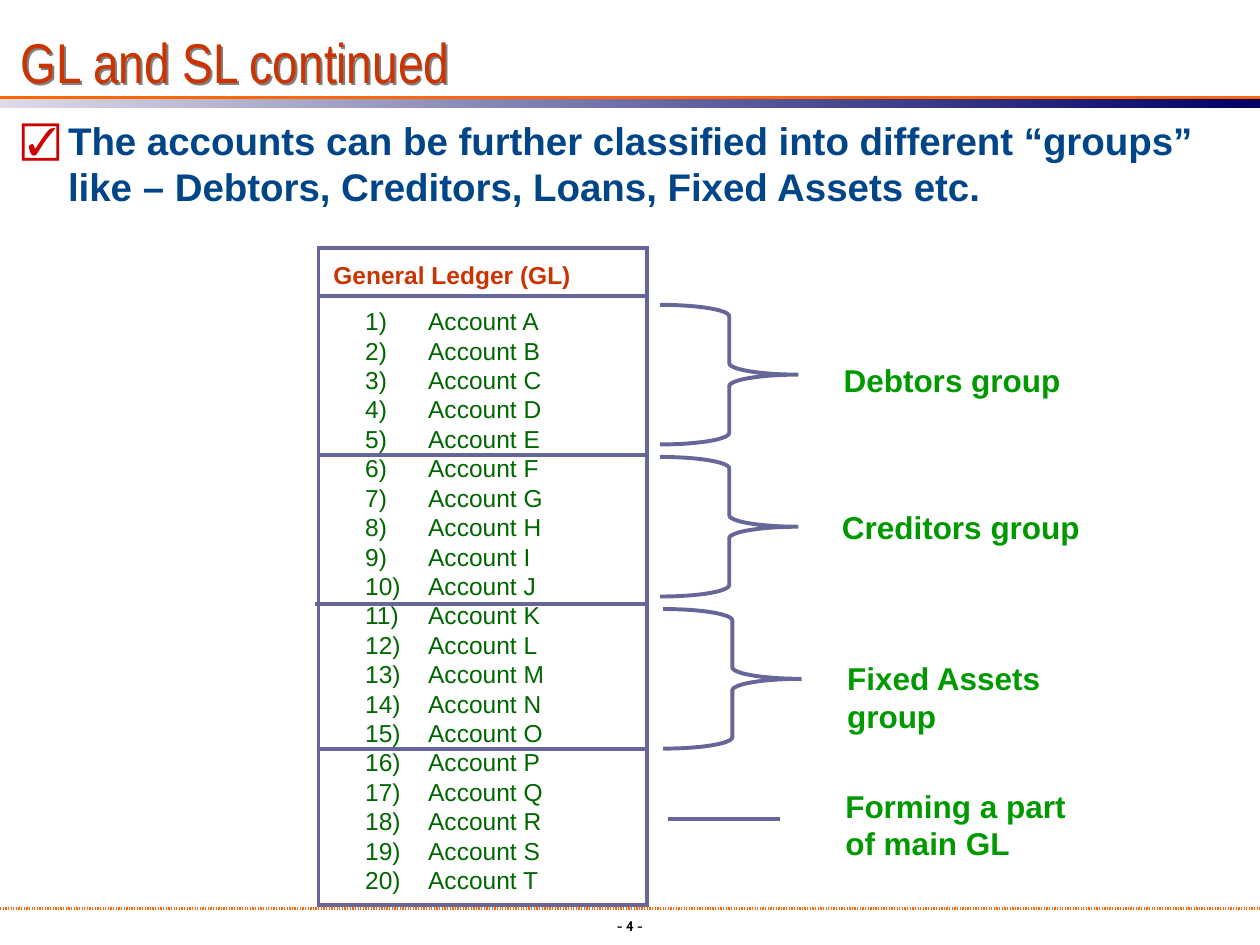
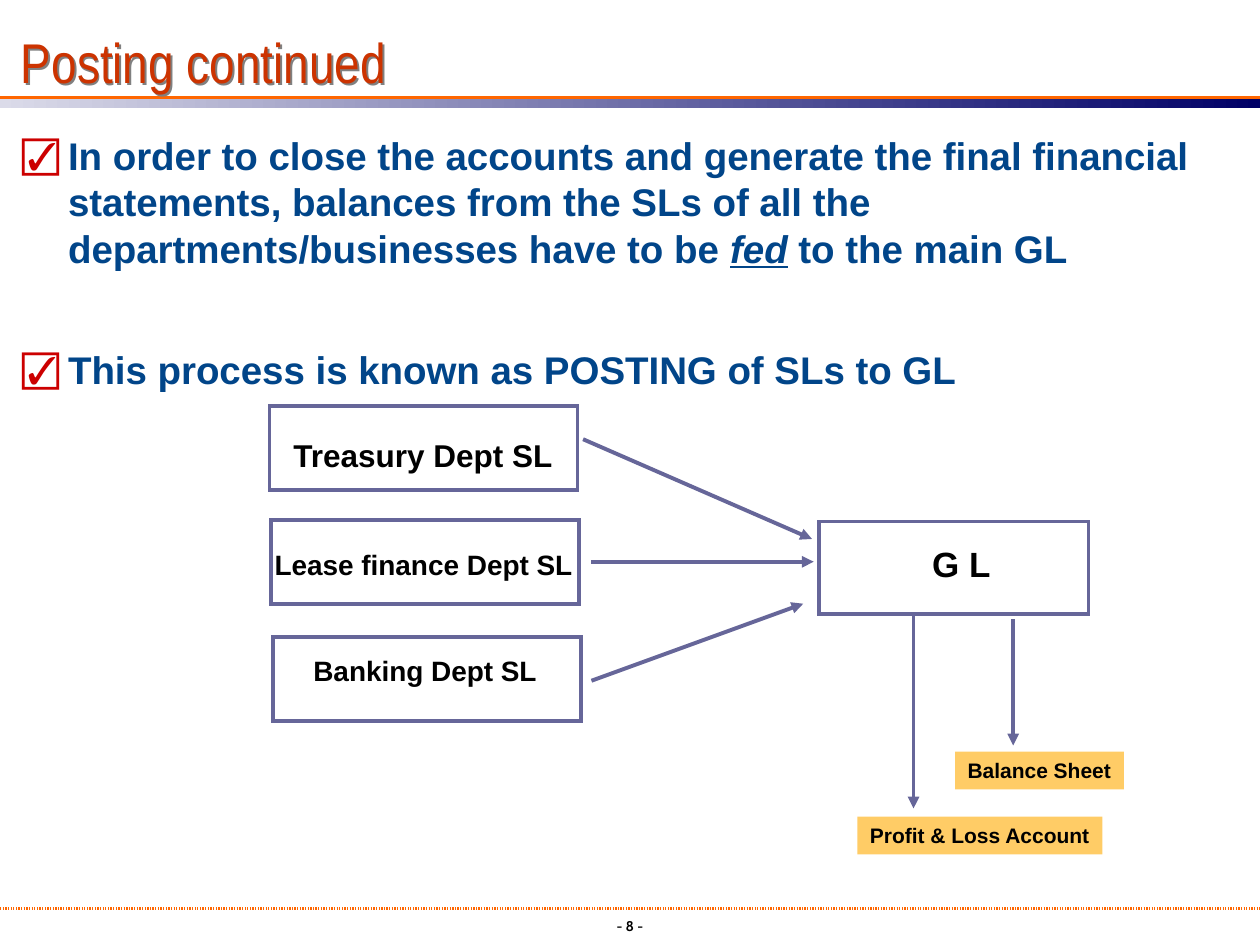
from dataclasses import dataclass

from lxml.etree import SubElement
from pptx import Presentation
from pptx.dml.color import RGBColor
from pptx.enum.shapes import MSO_CONNECTOR, MSO_SHAPE
from pptx.enum.text import MSO_ANCHOR as Anchor, PP_ALIGN as Align
from pptx.oxml.ns import qn
from pptx.util import Pt

COLOURS = {
    "title": "CC3300", "body": "014589", "tick": "CC0000", "rule": "FF6600",
    "band_light": "DBDBE9", "band_dark": "000066", "outline": "666699",
    "account": "006600", "group": "009900", "black": "000000",
    "statement": "FFCC66", "title_shadow": "808080",
}
WIDTH, HEIGHT = 720, 540
INSET = (7.2, 3.6)


@dataclass(frozen=True)
class Box:
    left: float
    top: float
    width: float
    height: float

    def lengths(self) -> tuple:
        return Pt(self.left), Pt(self.top), Pt(self.width), Pt(self.height)


@dataclass(frozen=True)
class Style:
    size: float
    colour: str
    bold: bool = True
    font: str = "Arial"


@dataclass(frozen=True)
class Label:
    text: str
    box: Box
    style: Style
    wrap: bool = False


@dataclass(frozen=True)
class Line:
    x1: float
    y1: float
    x2: float
    y2: float


@dataclass(frozen=True)
class Bullet:
    """Text pieces in turn plain and emphasised, with the space above."""
    pieces: tuple
    space_before: float = 0


TITLE = Style(32, "title", False, "Arial Narrow")
BODY = Style(22, "body")
FOOTER = Style(8, "black", font="Cabin")
LEDGER_HEADING = Style(14, "title")
ACCOUNT = Style(14, "account", False)
GROUP = Style(18, "group")
STATEMENT = Style(12, "black")


def rgb(name: str) -> RGBColor:
    return RGBColor.from_string(COLOURS[name])


def set_font(paragraph, style: Style) -> None:
    font = paragraph.font
    font.name, font.size, font.bold = style.font, Pt(style.size), style.bold
    font.color.rgb = rgb(style.colour)


def prepare_frame(frame, wrap: bool, inset=INSET, anchor=Anchor.TOP) -> None:
    frame.word_wrap = wrap
    frame.vertical_anchor = anchor
    frame.margin_left = frame.margin_right = Pt(inset[0])
    frame.margin_top = frame.margin_bottom = Pt(inset[1])


def add_label(slide, label: Label, inset=INSET, anchor=Anchor.TOP, align=Align.LEFT):
    shape = slide.shapes.add_textbox(*label.box.lengths())
    prepare_frame(shape.text_frame, label.wrap, inset, anchor)
    paragraph = shape.text_frame.paragraphs[0]
    paragraph.text = label.text
    paragraph.alignment = align
    set_font(paragraph, label.style)
    return shape


def add_outline(slide, box: Box, kind=MSO_SHAPE.RECTANGLE) -> None:
    shape = slide.shapes.add_shape(kind, *box.lengths())
    shape.shadow.inherit = False
    shape.fill.background()
    shape.line.color.rgb = rgb("outline")
    shape.line.width = Pt(2.25)
    SubElement(shape.line._get_or_add_ln(), qn("a:miter"), lim="800000")


def add_line(slide, line: Line, colour="outline", width=2.25, arrow=False, dotted=False) -> None:
    ends = (Pt(value) for value in (line.x1, line.y1, line.x2, line.y2))
    connector = slide.shapes.add_connector(MSO_CONNECTOR.STRAIGHT, *ends)
    connector.line.color.rgb = rgb(colour)
    connector.line.width = Pt(width)
    outline = connector.line._get_or_add_ln()
    if dotted:
        dashes = SubElement(outline, qn("a:custDash"))
        SubElement(dashes, qn("a:ds"), d="50000", sp="50000")
    if arrow:
        SubElement(outline, qn("a:tailEnd"), type="triangle")
    SubElement(connector._element.spPr, qn("a:effectLst"))


def set_bullet(paragraph, indent: float, colour: str, kind: str, **attributes) -> None:
    properties = paragraph._p.get_or_add_pPr()
    properties.set("marL", str(Pt(indent)))
    properties.set("indent", str(-Pt(indent)))
    SubElement(SubElement(properties, qn("a:buClr")), qn("a:srgbClr"), val=COLOURS[colour])
    SubElement(properties, qn("a:buFont"), typeface="Arial")
    SubElement(properties, qn(kind), **attributes)


def add_body(slide, box: Box, bullets: list[Bullet]) -> None:
    frame = slide.shapes.add_textbox(*box.lengths()).text_frame
    prepare_frame(frame, True, (0, 0))
    for index, bullet in enumerate(bullets):
        paragraph = frame.add_paragraph() if index else frame.paragraphs[0]
        set_bullet(paragraph, 26.64, "tick", "a:buChar", char="☑")
        if bullet.space_before:
            paragraph.space_before = Pt(bullet.space_before)
        set_font(paragraph, BODY)
        for position, piece in enumerate(bullet.pieces):
            run = paragraph.add_run()
            run.text = piece
            if position % 2:
                run.font.italic = run.font.underline = True


def add_title(slide, text: str) -> None:
    label = Label(text, Box(12, 10, 576, 44), TITLE, True)
    shape = add_label(slide, label, (0, 0), Anchor.BOTTOM)
    effects = SubElement(shape._element.spPr, qn("a:effectLst"))
    shadow = SubElement(effects, qn("a:outerShdw"), dist=str(Pt(1.5)), dir="2700000")
    SubElement(shadow, qn("a:srgbClr"), val=COLOURS["title_shadow"])


def new_slide(presentation, title: str, number: int):
    """Add a slide with the shared band, rules, page number and title."""
    slide = presentation.slides.add_slide(presentation.slide_layouts[6])
    add_line(slide, Line(0, 519, WIDTH, 519), "rule", 1.5, dotted=True)
    band = slide.shapes.add_shape(MSO_SHAPE.RECTANGLE, *Box(0, 56.4, WIDTH, 5.2).lengths())
    band.shadow.inherit = False
    band.line.fill.background()
    band.fill.gradient()
    band.fill.gradient_angle = 0
    for stop, name in zip(band.fill.gradient_stops, ("band_light", "band_dark")):
        stop.color.rgb = rgb(name)
    add_line(slide, Line(0, 55.6, WIDTH, 55.6), "rule", 1.5)
    add_label(slide, Label(f"- {number} -", Box(285, 520.6, 150, 19.4), FOOTER, True),
              align=Align.CENTER)
    add_title(slide, title)
    return slide


def add_accounts(slide, box: Box) -> None:
    frame = slide.shapes.add_textbox(*box.lengths()).text_frame
    prepare_frame(frame, True)
    for index, letter in enumerate("ABCDEFGHIJKLMNOPQRST"):
        paragraph = frame.add_paragraph() if index else frame.paragraphs[0]
        paragraph.text = f"Account {letter}"
        set_bullet(paragraph, 36, "account", "a:buAutoNum", type="arabicParenR")
        set_font(paragraph, ACCOUNT)


def build_ledger_slide(presentation) -> None:
    slide = new_slide(presentation, "GL and SL continued", 4)
    add_body(slide, Box(12.24, 67, 696, 389.5), [Bullet((
        "The accounts can be further classified into different “groups” "
        "like – Debtors, Creditors, Loans, Fixed Assets etc.",))])
    add_outline(slide, Box(182, 141.6, 188, 375.4))
    add_accounts(slide, Box(201.6, 171.4, 148.3, 360.7))
    add_label(slide, Label("General Ledger (GL)", Box(183.4, 144.8, 160, 24.5), LEDGER_HEADING))
    for left, y in ((182, 169.2), (182, 260), (180, 344.9), (181, 427.9)):
        add_line(slide, Line(left, y, left + 189, y))
    for index, left in enumerate((377.2, 377.2, 379)):
        add_outline(slide, Box(left, 174.2 + 86.9 * index, 79, 79.8), MSO_SHAPE.RIGHT_BRACE)
    add_line(slide, Line(382, 468, 446, 468))
    for text, left, top, height in (
        ("Debtors group", 475, 203, 29),
        ("Creditors group", 474, 287, 29),
        ("Fixed Assets group", 477, 373, 50.4),
        ("Forming a part of main GL", 476, 446, 50.4),
    ):
        add_label(slide, Label(text, Box(left, top, 161, height), GROUP, True))


def add_statement(slide, text: str, box: Box) -> None:
    shape = slide.shapes.add_shape(MSO_SHAPE.RECTANGLE, *box.lengths())
    shape.shadow.inherit = False
    shape.fill.solid()
    shape.fill.fore_color.rgb = rgb("statement")
    shape.line.fill.background()
    prepare_frame(shape.text_frame, False)
    paragraph = shape.text_frame.paragraphs[0]
    paragraph.text = text
    paragraph.alignment = Align.LEFT
    set_font(paragraph, STATEMENT)


def build_posting_slide(presentation) -> None:
    slide = new_slide(presentation, "Posting continued", 8)
    add_body(slide, Box(12.24, 75.6, 696, 420.5), [
        Bullet(("In order to close the accounts and generate the final financial "
                "statements, balances from the SLs of all the "
                "departments/businesses have to be ", "fed", " to the main GL")),
        Bullet(("This process is known as POSTING of SLs to GL",), 42.8),
    ])
    for outline, label in (
        (Box(154, 232, 176, 48),
         Label("Treasury Dept SL", Box(160.6, 245.6, 180, 28.8), Style(18, "black"))),
        (Box(468, 298, 154, 53),
         Label("G L", Box(525.6, 306.6, 70, 31.7), Style(20, "black"))),
        (Box(154.8, 297.2, 176, 48),
         Label("Lease finance Dept SL", Box(149.8, 309.6, 210, 26.6), Style(16, "black"))),
        (Box(156, 364, 176, 48),
         Label("Banking Dept SL", Box(172, 370, 160, 26.6), Style(16, "black"))),
    ):
        add_outline(slide, outline)
        add_label(slide, label)
    add_statement(slide, "Profit & Loss Account", Box(490, 466.6, 140, 21.6))
    add_statement(slide, "Balance Sheet", Box(545.8, 429.6, 96.4, 21.6))
    for arrow in (
        Line(333.2, 251, 464, 308), Line(338, 321, 465, 321),
        Line(338, 389, 459, 345), Line(579, 354, 579, 426),
        Line(522, 352, 522, 462),
    ):
        add_line(slide, arrow, arrow=True)


def main() -> None:
    presentation = Presentation()
    presentation.slide_width, presentation.slide_height = Pt(WIDTH), Pt(HEIGHT)
    build_ledger_slide(presentation)
    build_posting_slide(presentation)
    presentation.save("out.pptx")


if __name__ == "__main__":
    main()
